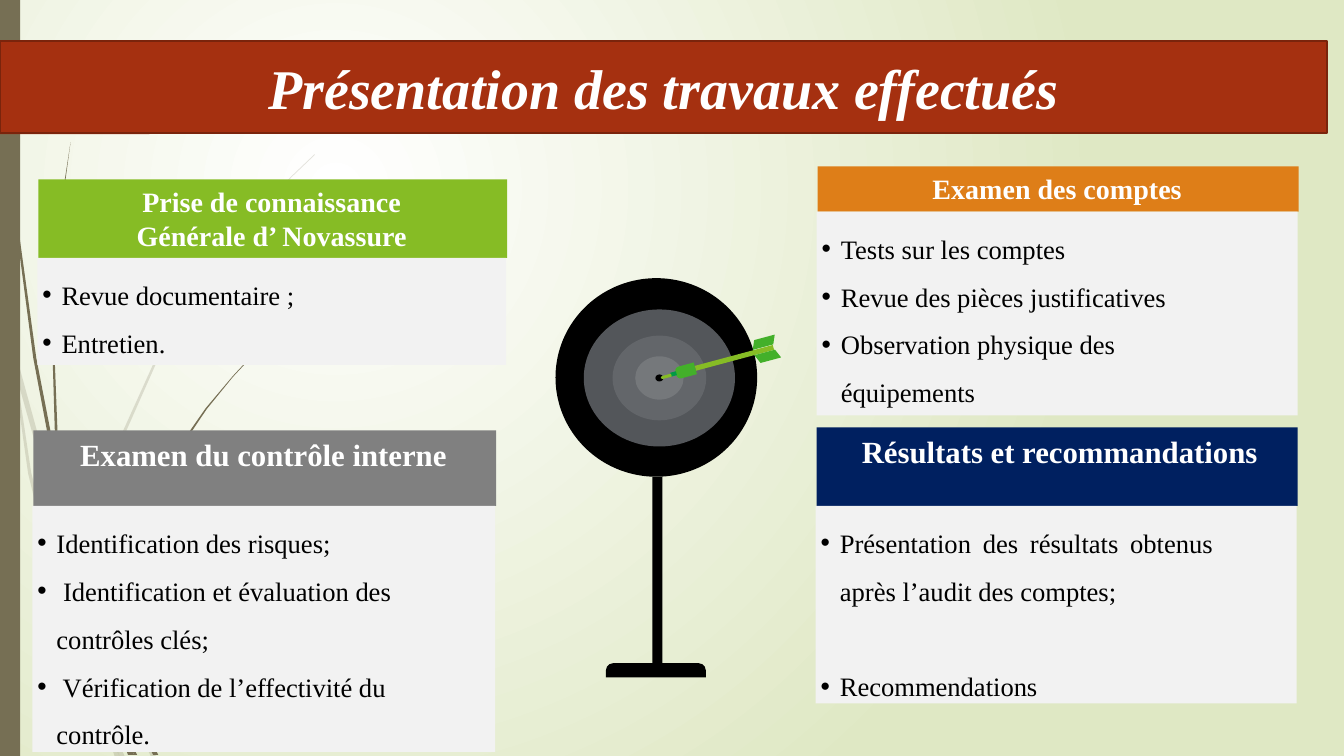
from dataclasses import dataclass

from lxml.etree import SubElement
from pptx import Presentation
from pptx.dml.color import RGBColor
from pptx.enum.shapes import MSO_SHAPE as Kind
from pptx.enum.text import MSO_ANCHOR as Anchor, MSO_AUTO_SIZE as Fit, PP_ALIGN as Align
from pptx.oxml.ns import qn
from pptx.util import Inches, Pt


@dataclass(frozen=True)
class Theme:
    font: str = "Times New Roman"
    mark: str = "Arial"
    white: str = "FFFFFF"
    black: str = "000000"
    mist: str = "DFE8C4"
    olive: str = "766F54"
    rust: str = "A53010"
    edge: str = "7A240C"
    panel: str = "F2F2F2"
    lime: str = "86BC25"
    green: str = "43B02A"
    deep: str = "009A44"
    orange: str = "DE7E18"
    gray: str = "808080"
    navy: str = "002060"
    rings: tuple = ("53565A", "63666A", "75787B")
    title: int = 40
    large: int = 22
    head: int = 20
    body: int = 19


T = Theme()

# Outlines of the grass blades as x,y pairs in inches
PALE = (
    "0.11,3.5 0.09,3.22 0,2.82 0,2.99 0.1,3.44",
    "0.58,5.22 0.84,5.99 0.85,5.86 0.62,5.2 0.14,3.45 0.17,3.76",
    "0.92,6.07 0.88,5.96 0.88,6.1 1.23,6.94 1.5,7.51 1.55,7.51 1.27,6.92",
    "1.19,7.51 1.24,7.51 1.05,7.11",
    "0.93,6.83 0.7,6.19 0.31,4.69 0.17,3.76 0.11,3.5 0.28,4.7 0.65,6.21 0.92,6.93 1.01,7.14 0.99,7.07",
    "0.88,5.84 1.1,4.62 1.6,3.49 2.29,2.45 2.68,1.98 2.9,1.75 3.12,1.54 3.12,1.53 2.89,1.75 "
    "2.68,1.97 2.28,2.44 1.58,3.48 1.07,4.61 0.85,5.84 0.85,5.86 0.88,5.96",
    "1.01,7.14 1.14,7.51 1.19,7.51",
    "0.96,6.92 0.93,6.83 0.99,7.07 1.01,7.14 1.19,7.51 1.05,7.11",
)
DARK = (
    "0.07,1.1 0.17,2.33 0.33,3.55 0.56,4.77 0.57,4.81 0.55,4.57 0.55,4.53 0.36,3.55 0.19,2.32 "
    "0.08,1.09 0.05,0.48 0.04,0 0.03,0 0.04,0.48",
    "0.88,5.92 1.06,6.45 1.06,6.33 1.06,6.31 0.93,5.9 0.6,4.72 0.64,5.05",
    "1.13,6.49 1.1,6.41 1.11,6.56 1.32,7.08 1.52,7.49 1.57,7.49 1.36,7.06",
    "1.1,6.91 0.98,6.57 0.72,5.56 0.64,5.05 0.57,4.77 0.68,5.57 0.93,6.59 1.11,7.08 1.17,7.22 1.16,7.17",
    "0.6,4.72 0.58,4.53 0.54,3.49 0.58,2.45 0.63,1.93 0.7,1.41 0.62,1.93 0.56,2.45 0.52,3.49 0.55,4.49",
    "1.33,7.49 1.36,7.49 1.22,7.19",
    "0.57,4.77 0.64,5.05 0.6,4.72 0.55,4.49 0.55,4.53",
    "1.11,6.33 1.25,5.52 1.58,4.76 2.05,4.06 2.31,3.74 2.45,3.59 2.61,3.44 2.6,3.44 2.45,3.58 "
    "2.31,3.73 2.04,4.05 1.56,4.74 1.22,5.51 1.06,6.31 1.1,6.41",
    "1.17,7.22 1.27,7.49 1.31,7.49",
    "1.16,7.06 1.1,6.91 1.16,7.17 1.17,7.22 1.3,7.49 1.33,7.49 1.22,7.19",
)


def rgb(code):
    return RGBColor.from_string(code)


def paint(shape, color):
    shape.shadow.inherit = False
    shape.fill.solid()
    shape.fill.fore_color.rgb = rgb(color)
    shape.line.fill.background()


def add(slide, kind, box, color, adj=None, rot=0):
    shape = slide.shapes.add_shape(kind, *map(Inches, box))
    paint(shape, color)
    if adj is not None:
        shape.adjustments[0] = adj
    shape.rotation = rot
    return shape


def style(par, size, color, bold=False, italic=False):
    font = par.font
    font.name, font.size = T.font, Pt(size)
    font.bold, font.italic = bold, italic
    font.color.rgb = rgb(color)


def write(shape, lines, pads):
    frame = shape.text_frame
    frame.word_wrap = True
    frame.vertical_anchor = Anchor.TOP
    (frame.margin_left, frame.margin_top,
     frame.margin_right, frame.margin_bottom) = map(Inches, pads)
    frame.text = "\n".join(lines)
    return frame.paragraphs


def bullet(par):
    props = par._p.get_or_add_pPr()
    props.set("marL", str(Inches(.19)))
    props.set("indent", str(-Inches(.19)))
    SubElement(props, qn("a:buFont")).set("typeface", T.mark)
    SubElement(props, qn("a:buChar")).set("char", "•")


def blade(slide, outline, alpha=None):
    pts = [tuple(100 * float(n) for n in pair.split(",")) for pair in outline.split()]
    pen = slide.shapes.build_freeform(*pts[0], scale=Inches(.01))
    pen.add_line_segments(pts[1:])
    shape = pen.convert_to_shape()
    paint(shape, T.olive)
    if alpha:
        tint = shape.element.spPr.find(".//" + qn("a:srgbClr"))
        SubElement(tint, qn("a:alpha")).set("val", str(alpha * 1000))


def backdrop(slide):
    fill = slide.background.fill
    fill.gradient()
    for stop, color in zip(fill.gradient_stops, (T.white, T.mist)):
        stop.color.rgb = rgb(color)
    grad = slide.element.find(".//" + qn("a:gradFill"))
    grad.remove(grad.find(qn("a:lin")))
    focus = SubElement(grad, qn("a:path"))
    focus.set("path", "circle")
    rect = SubElement(focus, qn("a:fillToRect"))
    for side, val in zip("ltrb", (50, 50, 100, 100)):
        rect.set(side, str(val * 1000))
    for outline in PALE:
        blade(slide, outline, alpha=20)
    for outline in DARK:
        blade(slide, outline)
    add(slide, Kind.RECTANGLE, (0, 0, .2, 7.5), T.olive)
    add(slide, Kind.PENTAGON, (0, .78, 1.74, .55), T.rust, .47)


def banner(slide, text, box):
    title = slide.shapes.title
    title.left, title.top, title.width, title.height = map(Inches, box)
    paint(title, T.rust)
    title.line.color.rgb = rgb(T.edge)
    title.line.width = Pt(1.25)
    frame = title.text_frame
    frame.text = text
    frame.auto_size = Fit.NONE
    frame.vertical_anchor = Anchor.MIDDLE
    par = frame.paragraphs[0]
    par.alignment = Align.CENTER
    style(par, T.title, T.white, bold=True, italic=True)
    title.element.getparent().append(title.element)  # bring to front


def target(slide, x, y):
    """Board on its stand; x, y is the top left of the board."""
    add(slide, Kind.OVAL, (x, y, 2, 1.97), T.black)
    add(slide, Kind.RECTANGLE, (x + .96, y + 1.97, .1, 1.92), T.black)
    add(slide, Kind.ROUND_2_SAME_RECTANGLE, (x + .5, y + 3.82, .99, .14), T.black, .5)
    sizes = ((1.5, 1.36), (.93, .84), (.48, .43), (.08, .07))
    for (w, h), color in zip(sizes, (*T.rings, T.black)):
        add(slide, Kind.OVAL, (x + 1.03 - w / 2, y + .99 - h / 2, w, h), color)


def dart(slide, x, y):
    """Dart whose point is at x, y."""
    add(slide, Kind.ROUND_2_SAME_RECTANGLE, (x + .19, y - .17, .12, .2), T.green, .35, 255)
    add(slide, Kind.RECTANGLE, (x + .71, y - .6, .05, .8), T.lime, rot=255)
    add(slide, Kind.RECTANGLE, (x + .11, y - .07, .04, .06), T.deep, rot=255)
    add(slide, Kind.PARALLELOGRAM, (x + .9, y - .4, .25, .09), T.green, .43, 345)
    fin = add(slide, Kind.PARALLELOGRAM, (x + .94, y - .26, .25, .09), T.green, .43, 165)
    fin.element.spPr.get_or_add_xfrm().set("flipH", "1")
    add(slide, Kind.PENTAGON, (x, y - .03, .11, .03), T.lime, rot=165)


def card(slide, box, drop, color, size, heads, items, align=Align.LEFT, gap=0):
    """Header of the given box, with a bullet panel of height drop below."""
    x, y, w, h = box
    head = add(slide, Kind.RECTANGLE, box, color)
    for par in write(head, heads, (.05, .05, 0, 0)):
        par.alignment = Align.CENTER
        style(par, size, T.white, bold=True)
    panel = add(slide, Kind.RECTANGLE, (x - .01, y + h, w, drop), T.panel)
    for i, par in enumerate(write(panel, items, (.05, .05, .83, .05))):
        par.alignment = align
        par.line_spacing = 1.5
        par.space_before = Pt(gap if i else 0)
        bullet(par)
        style(par, T.body, T.black)


def main():
    prs = Presentation()
    prs.slide_width, prs.slide_height = Inches(13.33), Inches(7.5)
    slide = prs.slides.add_slide(prs.slide_layouts[5])
    backdrop(slide)
    target(slide, 5.51, 2.76)
    dart(slide, 6.55, 3.75)
    card(slide, (.38, 1.78, 4.65, .78), 1.06, T.lime, T.head,
         ["Prise de connaissance ", "Générale d’ Novassure "], ["Revue documentaire ;", "Entretien."])
    card(slide, (.33, 4.27, 4.59, .75), 2.44, T.gray, T.large, ["Examen du contrôle interne "],
         ["Identification des risques;", " Identification et évaluation des contrôles clés;",
          " Vérification de l’effectivité du contrôle."])
    card(slide, (8.11, 1.65, 4.77, .45), 2.02, T.orange, T.head, ["Examen des comptes "],
         ["Tests sur les comptes", "Revue des pièces justificatives", "Observation physique des équipements"])
    card(slide, (8.1, 4.24, 4.77, .78), 1.96, T.navy, T.large, ["Résultats et recommandations"],
         ["Présentation des résultats obtenus après l’audit des comptes;", "Recommendations"],
         Align.JUSTIFY, gap=34)
    banner(slide, "Présentation des travaux effectués", (0, .41, 13.16, .91))
    prs.save("out.pptx")


if __name__ == "__main__":
    main()
